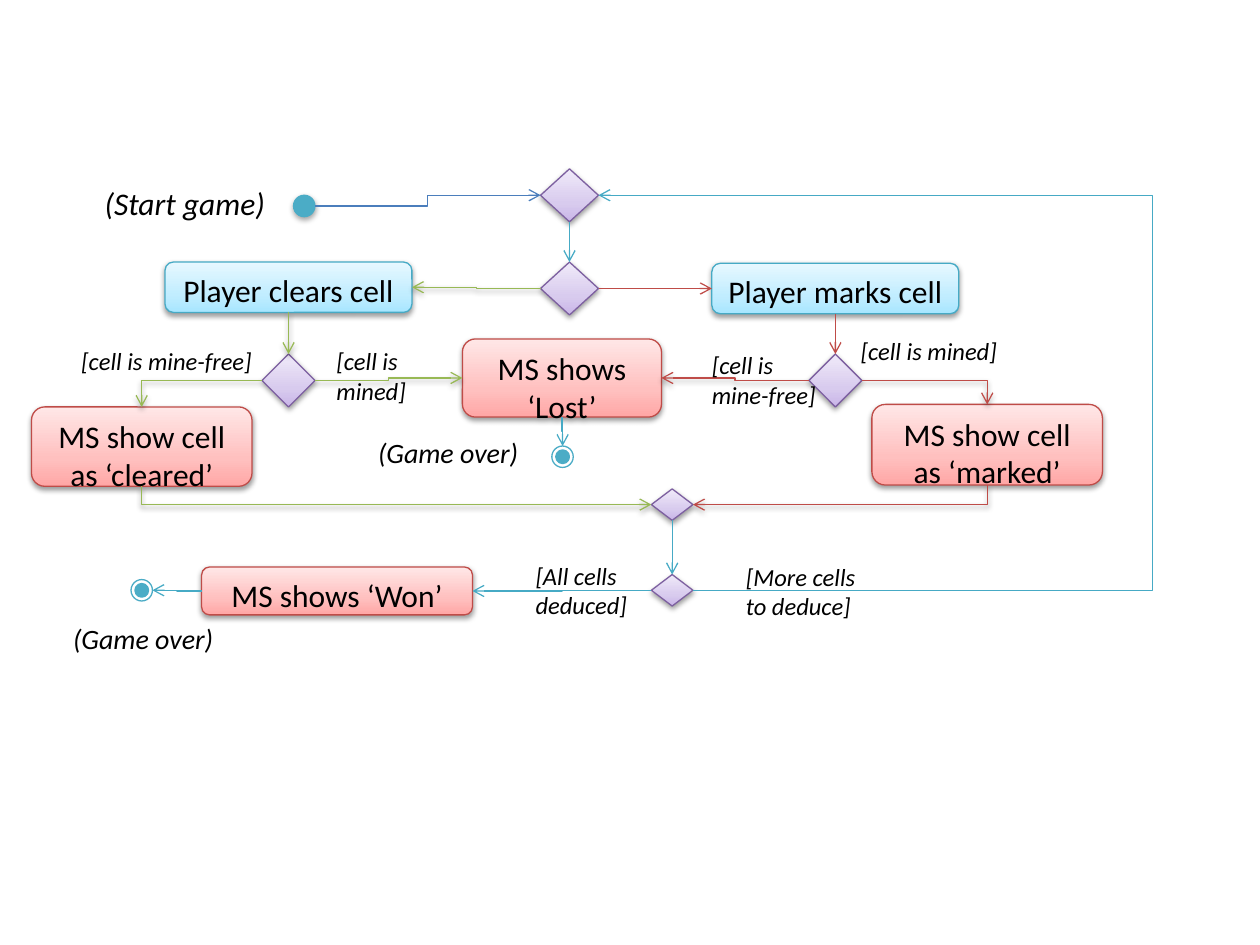
"""Build the activity diagram of a mine-clearing game on one slide."""
import copy
import dataclasses
import typing

import lxml.etree
import pptx
import pptx.dml.color
import pptx.enum.shapes
import pptx.enum.text
import pptx.oxml.ns
import pptx.util

Inches = pptx.util.Inches
Pt = pptx.util.Pt
SHAPE = pptx.enum.shapes.MSO_SHAPE
CONNECTOR = pptx.enum.shapes.MSO_CONNECTOR
ALIGN = pptx.enum.text.PP_ALIGN
qn = pptx.oxml.ns.qn

COLORS = {
    "black": "000000", "white": "FFFFFF", "teal": "4BACC6", "cyan": "46AAC5",
    "blue": "4B7EBC", "green": "98B955", "red": "BF4C48", "purple": "7D60A0",
}
GRADIENTS = {
    "red": ("FFA6A5", "FFC0BF", "FFE7E7"),
    "cyan": ("A7E6FF", "C1EDFF", "E7F8FF"),
    "purple": ("C9B5E8", "D8CBEE", "F0EAF9"),
}
STOPS = (0, 0.35, 1)
TOP, LEFT, BOTTOM, RIGHT = range(4)


@dataclasses.dataclass
class Node:
    """A box, diamond or dot of the flow."""
    left: float
    top: float
    width: float
    height: float
    color: str = "purple"
    text: str = ""

    def side(self, index: int) -> tuple[float, float]:
        """Return the middle of one side."""
        across, down = ((0.5, 0), (0, 0.5), (0.5, 1), (1, 0.5))[index]
        return self.left + across * self.width, self.top + down * self.height


@dataclasses.dataclass
class Link:
    """An arrow from a side of one node to a side of another."""
    start: str
    start_side: int
    end: str
    end_side: int
    color: str = "cyan"
    shadow: bool = False
    turn: float | None = None


@dataclasses.dataclass
class Label:
    """An italic note beside the flow."""
    left: float
    top: float
    width: float
    height: float
    lines: tuple[str, ...]
    size: int = 14
    align: ALIGN = ALIGN.LEFT


BOXES = {
    "clear": Node(1.31, 2.08, 1.96, 0.4, "cyan", "Player clears cell"),
    "mark": Node(5.65, 2.09, 1.96, 0.4, "cyan", "Player marks cell"),
    "lost": Node(3.67, 2.69, 1.58, 0.62, "red", "MS shows ‘Lost’"),
    "cleared": Node(0.25, 3.23, 1.75, 0.63, "red", "MS show cell as ‘cleared’"),
    "marked": Node(6.92, 3.21, 1.83, 0.64, "red", "MS show cell as ‘marked’"),
    "won": Node(1.6, 4.5, 2.15, 0.38, "red", "MS shows ‘Won’"),
}
DIAMONDS = {
    "turn": Node(4.29, 1.34, 0.46, 0.42),
    "move": Node(4.29, 2.08, 0.46, 0.42),
    "clear check": Node(2.08, 2.81, 0.42, 0.42),
    "mark check": Node(6.42, 2.81, 0.42, 0.42),
    "merge": Node(5.17, 3.88, 0.33, 0.25),
    "all done": Node(5.17, 4.56, 0.33, 0.25),
}
START = {"start": Node(2.33, 1.55, 0.17, 0.17, "teal")}
ENDS = {
    "lost end": Node(4.38, 3.54, 0.17, 0.17, "teal"),
    "won end": Node(1.04, 4.6, 0.17, 0.17, "teal"),
}
NODES = BOXES | DIAMONDS | START | ENDS

LINKS = (
    Link("start", RIGHT, "turn", LEFT, "blue"),
    Link("turn", BOTTOM, "move", TOP),
    Link("move", LEFT, "clear", RIGHT, "green", True),
    Link("move", RIGHT, "mark", LEFT, "red"),
    Link("clear", BOTTOM, "clear check", TOP, "green", True),
    Link("mark", BOTTOM, "mark check", TOP, "red"),
    Link("clear check", LEFT, "cleared", TOP, "green", True),
    Link("clear check", RIGHT, "lost", LEFT, "green", True),
    Link("mark check", LEFT, "lost", RIGHT, "red", True),
    Link("mark check", RIGHT, "marked", TOP, "red", True),
    Link("lost", BOTTOM, "lost end", TOP),
    Link("cleared", BOTTOM, "merge", LEFT, "green", True),
    Link("marked", BOTTOM, "merge", RIGHT, "red", True),
    Link("merge", BOTTOM, "all done", TOP),
    Link("all done", LEFT, "won", RIGHT),
    Link("all done", RIGHT, "turn", RIGHT, turn=9.15),
    Link("won", LEFT, "won end", RIGHT),
)
LABELS = (
    Label(0.83, 1.46, 1.42, 0.3, ("(Start game)",), 18),
    Label(0.33, 2.75, 1.67, 0.24, ("[cell is mine-free]",), align=ALIGN.RIGHT),
    Label(2.67, 2.75, 0.83, 0.47, ("[cell is mined]",)),
    Label(5.65, 2.78, 0.83, 0.47, ("[cell is mine-free]",)),
    Label(6.83, 2.67, 1.25, 0.24, ("[cell is mined]",)),
    Label(3, 3.46, 1.42, 0.27, ("(Game over)",), 16),
    Label(4.25, 4.45, 0.92, 0.47, ("[All cells deduced]",)),
    Label(5.92, 4.46, 1.17, 0.47, ("[More cells", "to deduce]")),
    Label(0.58, 4.93, 1.42, 0.27, ("(Game over)",), 16),
)


def rgb(name: str) -> pptx.dml.color.RGBColor:
    return pptx.dml.color.RGBColor.from_string(COLORS[name])


def add_shadow(effects: typing.Any, opacity: int = 38) -> None:
    shadow = lxml.etree.SubElement(
        effects, qn("a:outerShdw"), blurRad=str(Pt(3.1)), dist=str(Pt(1.6)),
        dir="5400000", rotWithShape="0")
    color = lxml.etree.SubElement(shadow, qn("a:srgbClr"), val=COLORS["black"])
    lxml.etree.SubElement(color, qn("a:alpha"), val=str(opacity * 1000))


def add_run(paragraph: typing.Any, text: str, size: int, italic: bool) -> None:
    run = paragraph.add_run()
    run.text = text
    run.font.name, run.font.size = "Calibri", Pt(size)
    run.font.italic = italic
    run.font.color.rgb = rgb("black")


def add_outline(shapes: typing.Any, node: Node, kind: SHAPE, line_width: float = 0.75) -> typing.Any:
    shape = shapes.add_shape(
        kind, *map(Inches, (node.left, node.top, node.width, node.height)))
    shape.shadow.inherit = False
    shape.line.color.rgb = rgb(node.color)
    shape.line.width = Pt(line_width)
    return shape


def add_step(shapes: typing.Any, node: Node, kind: SHAPE) -> typing.Any:
    shape = add_outline(shapes, node, kind)
    shape.fill.gradient()
    shape.fill.gradient_angle = 90
    stop_list = shape._element.spPr.find(".//" + qn("a:gsLst"))
    stop_list.insert(1, copy.deepcopy(stop_list[0]))
    for stop, position, color in zip(shape.fill.gradient_stops, STOPS, GRADIENTS[node.color]):
        stop.position = position
        stop.color.rgb = pptx.dml.color.RGBColor.from_string(color)
    add_shadow(shape._element.spPr.find(qn("a:effectLst")))
    if node.text:
        shape.text_frame.word_wrap = True
        shape.text_frame.vertical_anchor = pptx.enum.text.MSO_ANCHOR.TOP
        paragraph = shape.text_frame.paragraphs[0]
        paragraph.alignment = ALIGN.CENTER
        add_run(paragraph, node.text, 18, False)
    return shape


def add_dot(shapes: typing.Any, node: Node, fill: str, line_width: float = 0.75) -> typing.Any:
    shape = add_outline(shapes, node, SHAPE.OVAL, line_width)
    shape.fill.solid()
    shape.fill.fore_color.rgb = rgb(fill)
    return shape


def add_end(shapes: typing.Any, node: Node) -> None:
    group = shapes.add_group_shape()
    add_dot(group.shapes, node, "white")
    core = Node(node.left + 0.04, node.top + 0.04, 0.09, 0.09, node.color)
    add_dot(group.shapes, core, "teal", 2)


def add_link(shapes: typing.Any, link: Link, drawn: dict[str, typing.Any]) -> None:
    x1, y1 = NODES[link.start].side(link.start_side)
    x2, y2 = NODES[link.end].side(link.end_side)
    downward = link.start_side == BOTTOM
    straight = min(abs(x2 - x1), abs(y2 - y1)) < 0.004
    kind = CONNECTOR.STRAIGHT if straight else CONNECTOR.ELBOW
    corners = (x1, y1, x2, y2)
    if downward and not straight:
        middle_x, middle_y = (x1 + x2) / 2, (y1 + y2) / 2
        half_width, half_height = abs(y2 - y1) / 2, abs(x2 - x1) / 2
        corners = (middle_x - half_width, middle_y - half_height,
                   middle_x + half_width, middle_y + half_height)
    connector = shapes.add_connector(kind, *map(Inches, corners))
    properties = connector._element.spPr
    geometry = properties.find(qn("a:prstGeom"))
    if straight:
        connector.begin_connect(drawn[link.start], link.start_side)
        connector.end_connect(drawn[link.end], link.end_side)
    elif downward:
        properties.xfrm.set("rot", "5400000")
        if x2 > x1:
            properties.xfrm.set("flipV", "1")
    if link.start_side % 2 != link.end_side % 2:
        geometry.set("prst", "bentConnector2")
    if link.turn is not None:
        bend = round((link.turn - x1) / (x2 - x1) * 100000)
        lxml.etree.SubElement(
            geometry.find(qn("a:avLst")), qn("a:gd"), name="adj1", fmla=f"val {bend}")
    connector.line.color.rgb = rgb(link.color)
    connector.line.width = Pt(0.75)
    lxml.etree.SubElement(properties.find(qn("a:ln")), qn("a:tailEnd"), type="arrow")
    effects = lxml.etree.SubElement(properties, qn("a:effectLst"))
    if link.shadow:
        add_shadow(effects)


def add_label(shapes: typing.Any, label: Label) -> None:
    box = shapes.add_textbox(
        *map(Inches, (label.left, label.top, label.width, label.height)))
    frame = box.text_frame
    frame.word_wrap = True
    frame.auto_size = pptx.enum.text.MSO_AUTO_SIZE.SHAPE_TO_FIT_TEXT
    frame.margin_left = frame.margin_top = frame.margin_right = frame.margin_bottom = 0
    paragraph = frame.paragraphs[0]
    paragraph.alignment = label.align
    for index, line in enumerate(label.lines):
        if index:
            paragraph.add_line_break()
        add_run(paragraph, line, label.size, True)


def main() -> None:
    presentation = pptx.Presentation()
    presentation.slide_width, presentation.slide_height = Inches(10), Inches(7.5)
    shapes = presentation.slides.add_slide(presentation.slide_layouts[6]).shapes
    drawn = {name: add_step(shapes, node, SHAPE.ROUNDED_RECTANGLE) for name, node in BOXES.items()}
    drawn |= {name: add_step(shapes, node, SHAPE.DIAMOND) for name, node in DIAMONDS.items()}
    start = add_dot(shapes, START["start"], "teal")
    add_shadow(start._element.spPr.find(qn("a:effectLst")), 35)
    for node in ENDS.values():
        add_end(shapes, node)
    for link in LINKS:
        add_link(shapes, link, drawn)
    for label in LABELS:
        add_label(shapes, label)
    presentation.save("out.pptx")


if __name__ == "__main__":
    main()
